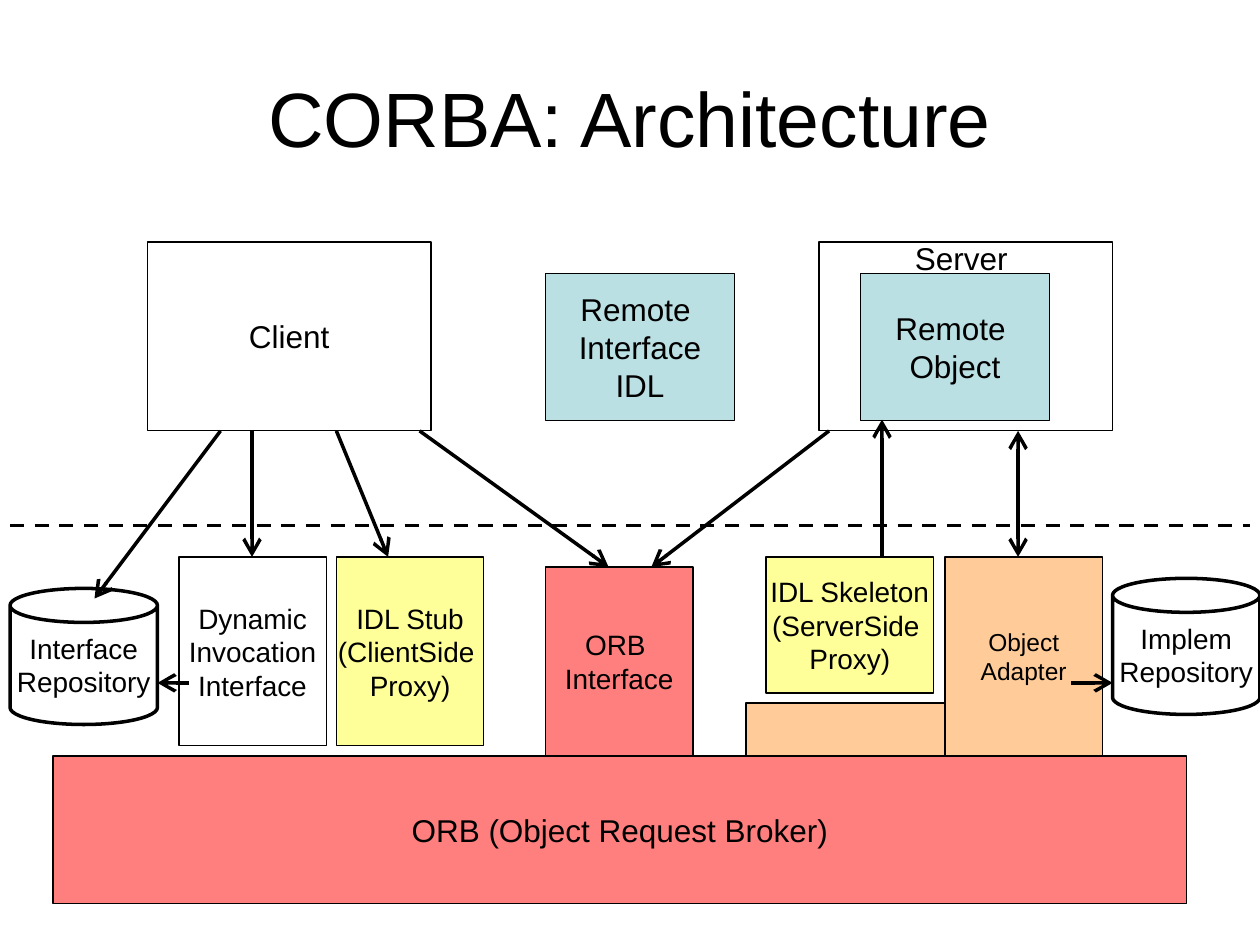
from dataclasses import dataclass
from typing import Optional

import lxml.etree
import pptx
import pptx.dml.color
import pptx.enum.dml
import pptx.enum.shapes
import pptx.enum.text
import pptx.oxml.ns
import pptx.util

Inches = pptx.util.Inches
Pt = pptx.util.Pt
MSO_SHAPE = pptx.enum.shapes.MSO_SHAPE
qn = pptx.oxml.ns.qn


@dataclass(frozen=True)
class Theme:
    font: str = "Arial"
    ink: str = "000000"
    white: str = "FFFFFF"
    remote: str = "BBE0E3"
    proxy: str = "FFFF99"
    broker: str = "FF0000"
    adapter: str = "FFCC99"
    title: int = 44
    large: int = 18
    medium: int = 16
    small: int = 14
    thin: float = 0.75
    thick: float = 2


THEME = Theme()


@dataclass(frozen=True)
class Box:
    left: float
    top: float
    width: float
    height: float
    lines: tuple[str, ...] = ()
    fill: Optional[str] = None
    size: int = THEME.large
    opacity: int = 100
    can: bool = False


@dataclass(frozen=True)
class Line:
    x1: float
    y1: float
    x2: float
    y2: float
    head: bool = False
    tail: bool = True
    dashed: bool = False


BOXES = (
    Box(1.17, 1.92, 2.25, 1.5, ("Client",)),
    Box(4.33, 2.17, 1.5, 1.17, ("Remote ", "Interface", "IDL"), THEME.remote),
    Box(6.83, 2.17, 1.5, 1.17, ("Remote ", "Object"), THEME.remote),
    Box(2.67, 4.42, 1.17, 1.5, ("IDL Stub", "(ClientSide ", "Proxy)"),
        THEME.proxy, THEME.medium),
    Box(6.08, 4.42, 1.33, 1.08, ("IDL Skeleton", "(ServerSide ", "Proxy)"),
        THEME.proxy, THEME.medium),
    Box(0.42, 6, 9, 1.17, ("ORB (Object Request Broker)",), THEME.broker, opacity=50),
    Box(6.5, 1.92, 2.33, 1.5),
    Box(1.42, 4.42, 1.17, 1.5, ("Dynamic", "Invocation", "Interface"),
        size=THEME.medium),
    Box(7.5, 4.42, 1.25, 1.58, ("Object", "Adapter"), THEME.adapter, THEME.small),
    Box(0.08, 4.67, 1.17, 1.08, ("Interface", "Repository"),
        THEME.white, THEME.medium, can=True),
    Box(8.83, 4.59, 1.17, 1.08, ("Implem", "Repository"),
        THEME.white, THEME.medium, can=True),
    Box(5.92, 5.58, 1.58, 0.42, fill=THEME.adapter),
    Box(4.33, 4.5, 1.17, 1.5, ("ORB ", "Interface"),
        THEME.broker, THEME.medium, opacity=50),
)

LINES = (
    Line(2, 3.42, 2, 4.42),
    Line(1.5, 5.42, 1.25, 5.42),
    Line(8.5, 5.42, 8.83, 5.42),
    Line(1.75, 3.42, 0.75, 4.75),
    Line(2.67, 3.42, 3.08, 4.42),
    Line(7, 4.42, 7, 3.33),
    Line(0.08, 4.17, 9.92, 4.17, tail=False, dashed=True),
    Line(3.33, 3.42, 4.83, 4.5),
    Line(6.58, 3.42, 5.17, 4.5),
    Line(8.08, 3.42, 8.08, 4.42, head=True),
)


def rgb(value: str) -> pptx.dml.color.RGBColor:
    return pptx.dml.color.RGBColor.from_string(value)


def write(sp, lines: tuple[str, ...], size: int, wrap: bool = False,
          anchor=pptx.enum.text.MSO_ANCHOR.MIDDLE) -> None:
    tf = sp.text_frame
    tf.word_wrap = wrap
    tf.vertical_anchor = anchor
    for i, text in enumerate(lines):
        p = tf.add_paragraph() if i else tf.paragraphs[0]
        p.alignment = pptx.enum.text.PP_ALIGN.CENTER
        r = p.add_run()
        r.text = text
        r.font.name = THEME.font
        r.font.size = Pt(size)
        r.font.color.rgb = rgb(THEME.ink)


def add_label(s, left: float, top: float, width: float, height: float,
              text: str, size: int, anchor) -> None:
    sp = s.shapes.add_textbox(Inches(left), Inches(top), Inches(width), Inches(height))
    write(sp, (text,), size, True, anchor)


def add_box(s, box: Box) -> None:
    kind = MSO_SHAPE.CAN if box.can else MSO_SHAPE.RECTANGLE
    sp = s.shapes.add_shape(kind, Inches(box.left), Inches(box.top),
                            Inches(box.width), Inches(box.height))
    sp.shadow.inherit = False
    sp.line.color.rgb = rgb(THEME.ink)
    sp.line.width = Pt(THEME.thick if box.can else THEME.thin)
    if box.fill is None:
        sp.fill.background()
    else:
        sp.fill.solid()
        sp.fill.fore_color.rgb = rgb(box.fill)
    if box.opacity < 100:
        color = sp._element.spPr.find(qn("a:solidFill")).find(qn("a:srgbClr"))
        lxml.etree.SubElement(color, qn("a:alpha"), val=str(box.opacity * 1000))
    if box.lines:
        write(sp, box.lines, box.size)


def add_line(s, line: Line) -> None:
    sp = s.shapes.add_connector(
        pptx.enum.shapes.MSO_CONNECTOR.STRAIGHT,
        Inches(line.x1), Inches(line.y1), Inches(line.x2), Inches(line.y2))
    sp.line.color.rgb = rgb(THEME.ink)
    sp.line.width = Pt(THEME.thick)
    if line.dashed:
        sp.line.dash_style = pptx.enum.dml.MSO_LINE.DASH
    ln = sp.line._get_or_add_ln()
    for shown, tag in ((line.head, "a:headEnd"), (line.tail, "a:tailEnd")):
        if shown:
            lxml.etree.SubElement(ln, qn(tag), type="arrow", w="lg", len="lg")
    lxml.etree.SubElement(sp._element.spPr, qn("a:effectLst"))


def main() -> None:
    prs = pptx.Presentation()
    prs.slide_width, prs.slide_height = Inches(10), Inches(7.5)
    s = prs.slides.add_slide(prs.slide_layouts[6])
    add_label(s, 0.5, 0.3, 9, 1.25, "CORBA: Architecture", THEME.title,
              pptx.enum.text.MSO_ANCHOR.MIDDLE)
    for box in BOXES:
        add_box(s, box)
    add_label(s, 7.03, 1.85, 1.2, 0.4, "Server", THEME.large,
              pptx.enum.text.MSO_ANCHOR.TOP)
    for line in LINES:
        add_line(s, line)
    prs.save("out.pptx")


if __name__ == "__main__":
    main()
